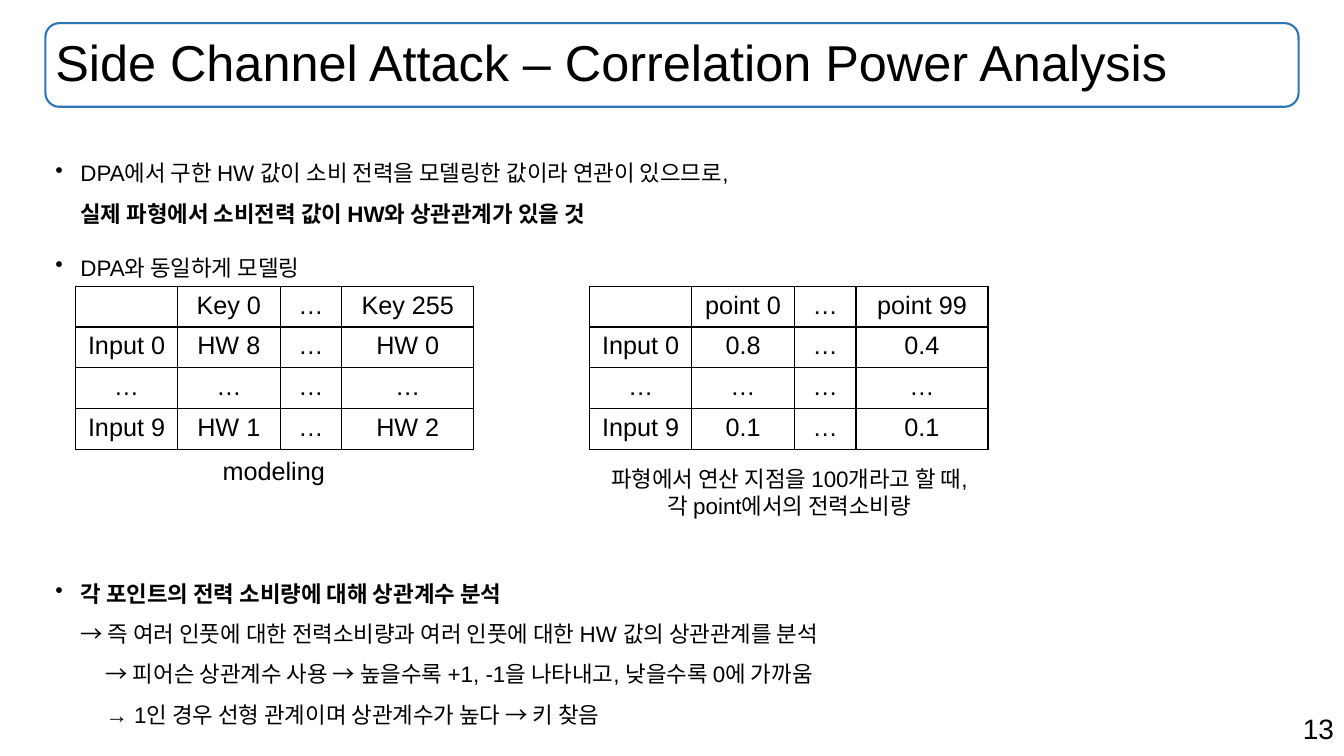
import pptx
import pptx.util
import pptx.dml.color
import pptx.enum.shapes
import pptx.enum.text
import pptx.oxml
import pptx.oxml.ns
from lxml import etree

Inches = pptx.util.Inches
Pt = pptx.util.Pt
Align = pptx.enum.text.PP_ALIGN
Anchor = pptx.enum.text.MSO_ANCHOR
BLACK = "000000"
BLUE = "2E75B6"


def color(value):
    return pptx.dml.color.RGBColor.from_string(value)


def write(paragraph, text, size=18, bold=False, align=Align.LEFT, spacing=None, before=0):
    paragraph.alignment = align
    paragraph.space_before = Pt(before)
    if spacing:
        paragraph.line_spacing = spacing
    for index, line in enumerate(text.split("\n")):
        if index:
            paragraph.add_line_break()
        run = paragraph.add_run()
        run.text = line
        run.font.name = "Arial"
        run.font.size = Pt(size)
        run.font.bold = bold
        run.font.color.rgb = color(BLACK)


def add_box(slide, left, top, width, height, wrap=True, anchor=Anchor.TOP):
    frame = slide.shapes.add_textbox(
        Inches(left), Inches(top), Inches(width), Inches(height)
    ).text_frame
    frame.word_wrap = wrap
    frame.vertical_anchor = anchor
    return frame


def add_label(slide, box, text, wrap=True, anchor=Anchor.TOP, **text_format):
    frame = add_box(slide, *box, wrap=wrap, anchor=anchor)
    write(frame.paragraphs[0], text, **text_format)


def add_title(slide, text):
    area = (0.45, 0.23, 12.43, 0.83)
    outline = slide.shapes.add_shape(
        pptx.enum.shapes.MSO_SHAPE.ROUNDED_RECTANGLE, *map(Inches, area)
    )
    outline.shadow.inherit = False
    outline.fill.background()
    outline.line.color.rgb = color(BLUE)
    outline.line.width = Pt(1.5)
    add_label(slide, area, text, anchor=Anchor.MIDDLE, size=36, spacing=0.9)


def add_points(slide, top, height, points):
    frame = add_box(slide, 0.45, top, 12.43, height)
    for index, (level, text, bold) in enumerate(points):
        paragraph = frame.add_paragraph() if index else frame.paragraphs[0]
        properties = paragraph._p.get_or_add_pPr()
        properties.set("marL", str(Inches(0.25 * max(level, 1))))
        if level == 0:
            properties.set("indent", str(Inches(-0.25)))
            bullet = etree.SubElement(properties, pptx.oxml.ns.qn("a:buChar"))
            bullet.set("char", "•")
        before = 10 if index and level == 0 else 0
        write(paragraph, text, size=16, bold=bold, spacing=1.5, before=before)


def set_borders(cell):
    properties = cell._tc.get_or_add_tcPr()
    for position, side in enumerate(("lnL", "lnR", "lnT", "lnB")):
        border = pptx.oxml.parse_xml(
            f'<a:{side} {pptx.oxml.ns.nsdecls("a")} w="{Pt(1)}"><a:solidFill>'
            f'<a:srgbClr val="{BLACK}"/></a:solidFill></a:{side}>'
        )
        properties.insert(position, border)


def add_grid(slide, left, rows):
    widths = (1.01, 1.02, 0.61, 1.31)
    row_height = 0.405
    table = slide.shapes.add_table(
        len(rows), len(widths), Inches(left), Inches(2.84),
        Inches(sum(widths)), Inches(row_height * len(rows)),
    ).table
    table.first_row = False
    table.horz_banding = False
    for column, width in zip(table.columns, widths):
        column.width = Inches(width)
    for row, values in zip(table.rows, rows):
        row.height = Inches(row_height)
        for cell, value in zip(row.cells, values):
            cell.fill.background()
            set_borders(cell)
            write(cell.text_frame.paragraphs[0], value, align=Align.CENTER)


def main():
    deck = pptx.Presentation()
    deck.slide_width = Inches(13.33)
    deck.slide_height = Inches(7.5)
    slide = deck.slides.add_slide(deck.slide_layouts[6])

    add_label(slide, (9.43, 7.01, 3.9, 0.44), "13", size=20, align=Align.RIGHT)
    add_title(slide, "Side Channel Attack – Correlation Power Analysis")
    add_points(slide, 1.4, 1.4, [
        (0, "DPA에서 구한 HW 값이 소비 전력을 모델링한 값이라 연관이 있으므로,", False),
        (1, "실제 파형에서 소비전력 값이 HW와 상관관계가 있을 것", True),
        (0, "DPA와 동일하게 모델링", False),
    ])
    add_points(slide, 5.57, 1.6, [
        (0, "각 포인트의 전력 소비량에 대해 상관계수 분석", True),
        (1, "→ 즉 여러 인풋에 대한 전력소비량과 여러 인풋에 대한 HW 값의 상관관계를 분석", False),
        (2, "→ 피어슨 상관계수 사용 → 높을수록 +1, -1을 나타내고, 낮을수록 0에 가까움", False),
        (2, "→ 1인 경우 선형 관계이며 상관계수가 높다 → 키 찾음", False),
    ])

    skipped = ("…",) * 4
    add_grid(slide, 0.75, [
        ("", "Key 0", "…", "Key 255"),
        ("Input 0", "HW 8", "…", "HW 0"),
        skipped,
        ("Input 9", "HW 1", "…", "HW 2"),
    ])
    add_label(slide, (2.11, 4.47, 1.23, 0.4), "modeling", wrap=False)
    add_grid(slide, 5.85, [
        ("", "point 0", "…", "point 99"),
        ("Input 0", "0.8", "…", "0.4"),
        skipped,
        ("Input 9", "0.1", "…", "0.1"),
    ])
    add_label(
        slide, (5.75, 4.57, 4.16, 0.64),
        "파형에서 연산 지점을 100개라고 할 때,\n각 point에서의 전력소비량",
        wrap=False, size=16, align=Align.CENTER,
    )
    deck.save("out.pptx")


if __name__ == "__main__":
    main()
